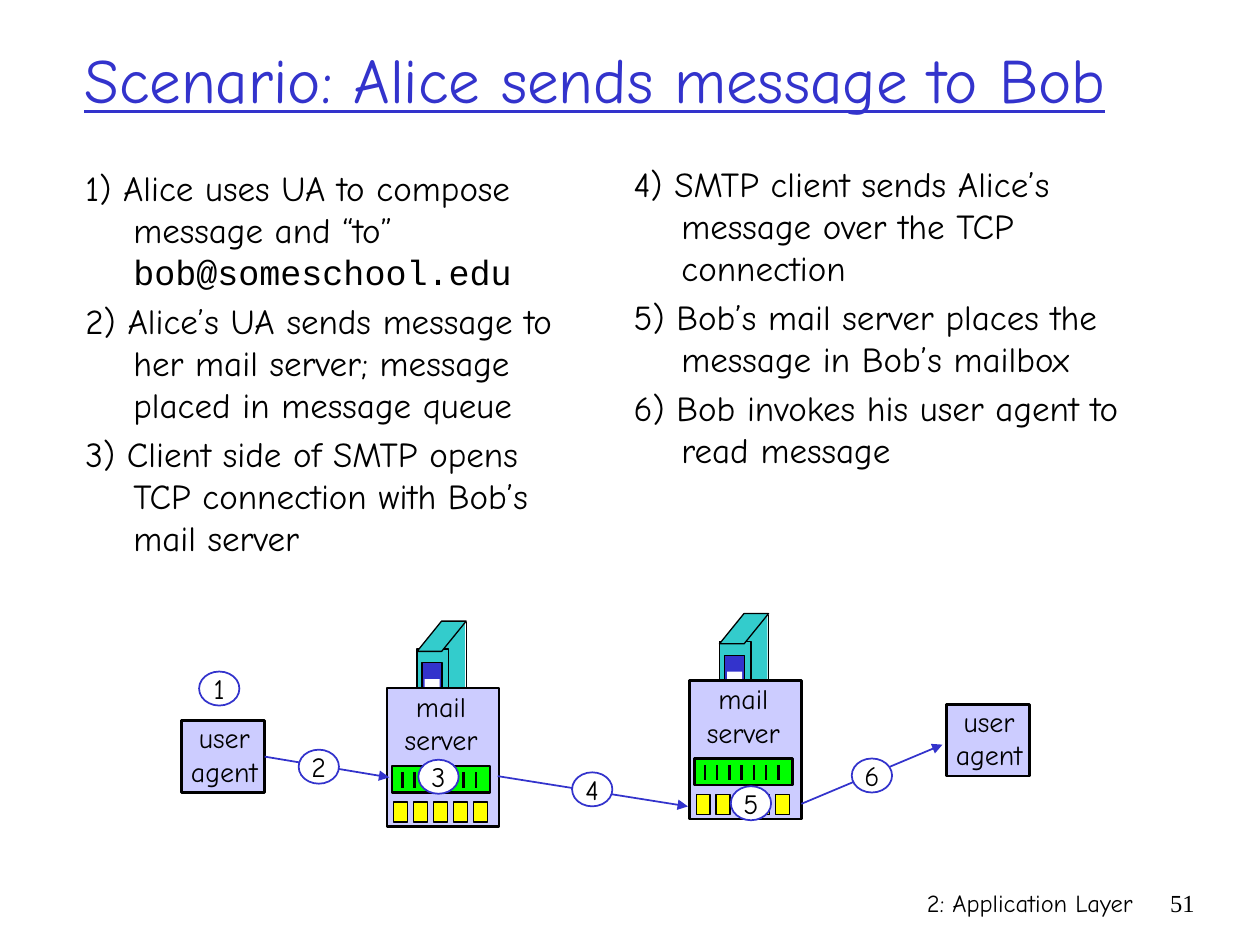
from lxml import etree
from pptx import Presentation
from pptx import util as u
from pptx.dml.color import RGBColor
from pptx.enum import shapes, text
from pptx.oxml import ns

COLORS = {
    "ink": "000000", "paper": "FFFFFF", "accent": "3333CC", "box": "CCCCFF",
    "tower": "33CCCC", "queue": "00FF00", "mailbox": "FFFF00",
}
FONT, MONO, SERIF = "Comic Neue", "Courier New", "Times New Roman"
COLS, ROWS = 100, 75
SHAPE, ALIGN, ANCHOR = shapes.MSO_SHAPE, text.PP_ALIGN, text.MSO_ANCHOR


def rgb(name):
    return RGBColor.from_string(COLORS[name])


class Canvas:
    """Current slide and its style; lengths are grid columns and rows."""

    def __init__(self, prs):
        self.prs = prs
        self.s = prs.slides.add_slide(prs.slide_layouts[5])
        self.shapes = self.s.shapes

    def x(self, col):
        return round(self.prs.slide_width * col / COLS)

    def y(self, row):
        return round(self.prs.slide_height * row / ROWS)

    def area(self, col, row, width, height):
        return self.x(col), self.y(row), self.x(width), self.y(height)

    def start_group(self):
        self.shapes = self.s.shapes.add_group_shape().shapes

    def end_group(self):
        self.shapes = self.s.shapes

    def style(self, p, size, color="ink", font=FONT, align=ALIGN.LEFT):
        p.alignment = align
        for r in p.runs:
            r.font.size, r.font.name = u.Pt(size), font
            r.font.color.rgb = rgb(color)

    def title(self, words, *area):
        sp = self.s.shapes.title
        sp.left, sp.top, sp.width, sp.height = self.area(*area)
        tf = sp.text_frame
        tf.text, tf.vertical_anchor = words, ANCHOR.MIDDLE
        self.style(tf.paragraphs[0], 36, "accent")
        tf.paragraphs[0].runs[0].font.underline = True

    def text(self, words, *area, size=14, font=FONT, align=ALIGN.RIGHT, wrap=True):
        tf = self.shapes.add_textbox(*self.area(*area)).text_frame
        tf.word_wrap, tf.text = wrap, words
        for p in tf.paragraphs:
            self.style(p, size, font=font, align=align)

    def steps(self, items, *area):
        """Hanging paragraphs; an item is a list of (words, font) runs."""
        tf = self.shapes.add_textbox(*self.area(*area)).text_frame
        tf.word_wrap = True
        for i, item in enumerate(items):
            p = tf.add_paragraph() if i else tf.paragraphs[0]
            p.space_before = u.Pt(4 if i else 0)
            hang = self.x(3.8)
            pPr = p._p.get_or_add_pPr()
            pPr.set("marL", str(hang))
            pPr.set("indent", str(-hang))
            for words, _ in item:
                p.add_run().text = words
            self.style(p, 20)
            for r, (_, font) in zip(p.runs, item):
                r.font.name = font

    def shape(self, kind, *area, fill="paper", line="ink", weight=0.75):
        sp = self.shapes.add_shape(kind, *self.area(*area))
        sp.shadow.inherit = False
        sp.fill.solid()
        sp.fill.fore_color.rgb = rgb(fill)
        if line:
            sp.line.color.rgb = rgb(line)
            sp.line.width = u.Pt(weight)
        else:
            sp.line.fill.background()
        return sp

    def line(self, x1, y1, x2, y2, color="ink", weight=0.75, arrow=False):
        c = self.shapes.add_connector(shapes.MSO_CONNECTOR.STRAIGHT, self.x(x1),
                                      self.y(y1), self.x(x2), self.y(y2))
        c.line.color.rgb, c.line.width = rgb(color), u.Pt(weight)
        if arrow:
            etree.SubElement(c.line._get_or_add_ln(), ns.qn("a:tailEnd"), type="triangle")
        etree.SubElement(c._element.spPr, ns.qn("a:effectLst"))
        return c

    def label(self, words, *area):
        self.text(words, *area, size=16, align=ALIGN.CENTER, wrap=False)

    def user_agent(self, col, row):
        self.start_group()
        box = self.shape(SHAPE.RECTANGLE, col, row, 6.6, 5.7, fill="box", weight=1.5)
        self.label("user\nagent", col - 0.5, row - 0.5, 7.8, 6.4)
        self.end_group()
        return box

    def mail_server(self, col, row):
        """Server tower behind a box with a message queue and mailboxes."""
        rect = SHAPE.RECTANGLE
        self.start_group()
        self.shape(rect, col + 4.4, row - 5.3, 1.8, 7.8, fill="tower", line=None)
        self.shape(rect, col + 2.4, row - 3.1, 2.5, 7.8, fill="tower")
        roof = self.shape(SHAPE.PARALLELOGRAM, col + 2.4, row - 5.3, 3.9, 2.4, fill="tower")
        roof.adjustments[0] = 0.81
        self.line(col + 6.3, row - 5.2, col + 6.3, row + 2.5)
        self.shape(rect, col + 2.8, row - 2, 1.6, 4.5, fill="accent")
        self.shape(rect, col + 3, row - 0.7, 1.2, 1.6, line=None)
        self.shape(rect, col, row, 8.9, 11, fill="box", weight=1.5)
        self.label("mail\nserver", col - 0.1, row - 0.4, 8.8, 6.4)
        self.shape(rect, col + 0.4, row + 6.2, 7.8, 2.1, fill="queue", weight=1.5)
        for i in range(7):
            slot = col + 1.25 + 0.97 * i
            self.line(slot, row + 6.7, slot, row + 7.9, weight=1.5)
        for i in range(5):
            self.shape(rect, col + 0.55 + 1.58 * i, row + 9.05, 1.1, 1.6, fill="mailbox")
        self.end_group()

    def badge(self, number, col, row):
        sp = self.shape(SHAPE.OVAL, col, row, 3.2, 2.7, line="accent", weight=1)
        tf = sp.text_frame
        tf.text, tf.word_wrap, tf.vertical_anchor = str(number), False, ANCHOR.MIDDLE
        self.style(tf.paragraphs[0], 16, align=ALIGN.CENTER)


def main():
    prs = Presentation()
    prs.slide_width, prs.slide_height = u.Inches(10), u.Inches(7.5)
    c = Canvas(prs)

    c.text("2: Application Layer", 59.2, 70, 31.7, 5)
    c.text("51", 90.8, 70, 5, 5, font=SERIF)
    c.title("Scenario: Alice sends message to Bob", 5.7, 0, 90.1, 12.5)
    c.steps([
        [("1) Alice uses UA to compose message and “to” ", FONT),
         ("bob@someschool.edu", MONO)],
        [("2) Alice’s UA sends message to her mail server; "
          "message placed in message queue", FONT)],
        [("3) Client side of SMTP opens TCP connection with Bob’s mail server", FONT)],
    ], 5.8, 12.7, 41.7, 35.2)
    c.steps([
        [("4) SMTP client sends Alice’s message over the TCP connection", FONT)],
        [("5) Bob’s mail server places the message in Bob’s mailbox", FONT)],
        [("6) Bob invokes his user agent to read message", FONT)],
    ], 49.3, 12.4, 41.7, 35.7)

    alice = c.user_agent(14.4, 57.2)
    c.mail_server(30.7, 54.6)
    c.mail_server(54.7, 54)
    c.user_agent(75.1, 55.9)

    arrow = dict(color="accent", weight=1, arrow=True)
    c.line(21, 60.1, 30.9, 61.7, **arrow).begin_connect(alice, 3)
    c.line(39.5, 61.6, 54.6, 64, **arrow)
    c.line(63.6, 63.8, 74.8, 59.1, **arrow)

    spots = [(15.8, 53.3), (23.7, 59.5), (33.2, 60.3),
             (45.4, 61.3), (58, 62.4), (67.6, 60.2)]
    for number, spot in enumerate(spots, 1):
        c.badge(number, *spot)

    prs.save("out.pptx")


if __name__ == "__main__":
    main()
